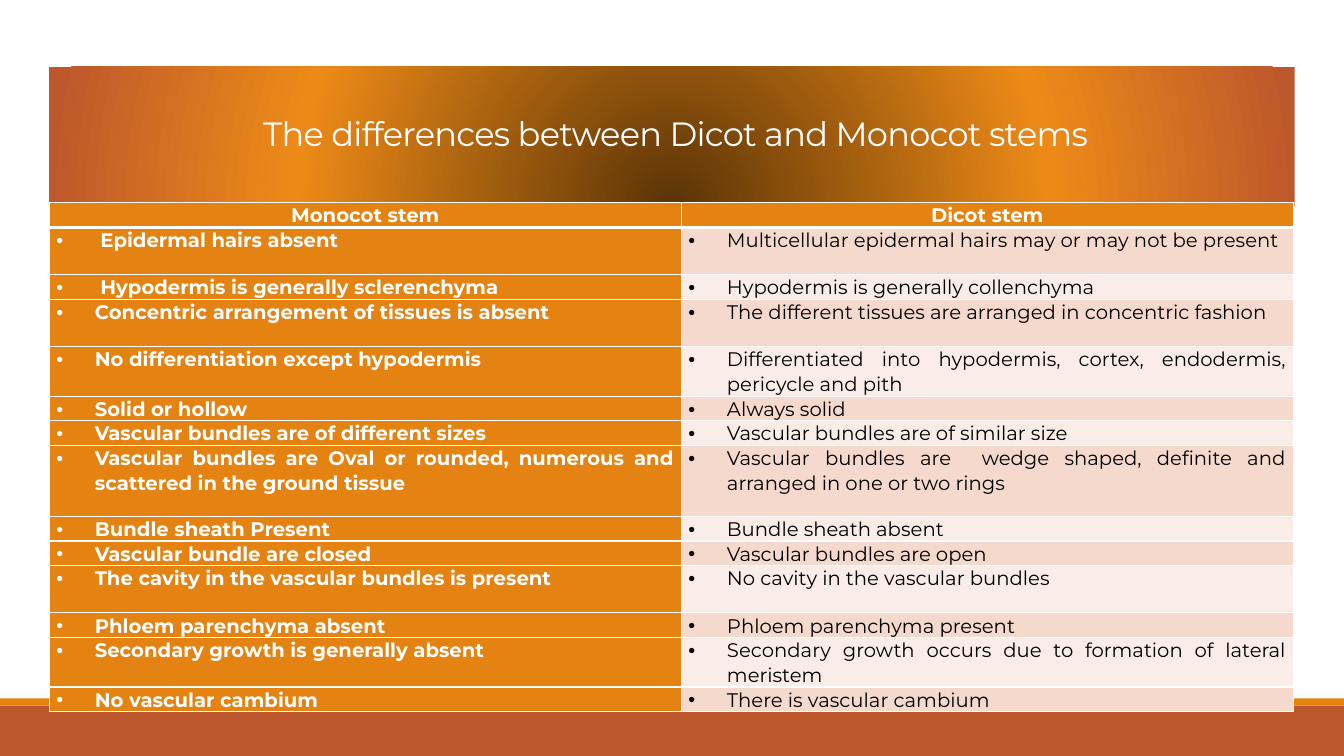
from pptx import Presentation
from pptx.dml.color import RGBColor
from pptx.enum import shapes, text
from pptx.oxml import parse_xml
from pptx.oxml.ns import nsdecls
from pptx.util import Cm, Pt

FONT = "Montserrat"
WHITE = RGBColor(0xFF, 0xFF, 0xFF)
BLACK = RGBColor(0, 0, 0)
ORANGE = RGBColor(0xE4, 0x83, 0x12)
RUST = RGBColor(0xBD, 0x58, 0x2C)
BROWN = RGBColor(0x5B, 0x34, 0x07)
AMBER = RGBColor(0xED, 0x8A, 0x17)
DARK_BAND = RGBColor(0xF5, 0xD9, 0xCC)
LIGHT_BAND = RGBColor(0xFA, 0xED, 0xE7)

COLUMN_WIDTHS = (15.93, 15.42)
ONE_LINE, TWO_LINES, THREE_LINES = 0.58, 1.19, 1.78
HEADINGS = ("Monocot stem", "Dicot stem")
DIFFERENCES = (
    (TWO_LINES, " Epidermal hairs absent",
     "Multicellular epidermal hairs may or may not be present"),
    (ONE_LINE, " Hypodermis is generally sclerenchyma",
     "Hypodermis is generally collenchyma"),
    (TWO_LINES, "Concentric arrangement of tissues is absent",
     "The different tissues are arranged in concentric fashion"),
    (TWO_LINES, "No differentiation except hypodermis",
     "Differentiated into hypodermis, cortex, endodermis, pericycle and pith"),
    (ONE_LINE, "Solid or hollow", "Always solid"),
    (ONE_LINE, "Vascular bundles are of different sizes",
     "Vascular bundles are of similar size"),
    (THREE_LINES, "Vascular bundles are Oval or rounded, numerous and scattered in the ground tissue",
     "Vascular bundles are  wedge shaped, definite and arranged in one or two rings "),
    (ONE_LINE, "Bundle sheath Present", "Bundle sheath absent"),
    (ONE_LINE, "Vascular bundle are closed", "Vascular bundles are open"),
    (TWO_LINES, "The cavity in the vascular bundles is present",
     "No cavity in the vascular bundles"),
    (ONE_LINE, "Phloem parenchyma absent", "Phloem parenchyma present"),
    (TWO_LINES, "Secondary growth is generally absent",
     "Secondary growth occurs due to formation of lateral meristem"),
    (ONE_LINE, "No vascular cambium", "There is vascular cambium"),
)


def add_band(slide, left, top, width, height, color=None):
    """Add a borderless rectangle, filled when a colour is given."""
    shape = slide.shapes.add_shape(
        shapes.MSO_SHAPE.RECTANGLE, Cm(left), Cm(top), Cm(width), Cm(height))
    shape.shadow.inherit = False
    shape.line.fill.background()
    if color is not None:
        shape.fill.solid()
        shape.fill.fore_color.rgb = color
    return shape


def add_glow(shape, stops):
    """Fill a shape with a circular gradient centred on its lower edge."""
    stop_xml = "".join(
        f'<a:gs pos="{position * 1000}"><a:srgbClr val="{color}"/></a:gs>'
        for position, color in stops)
    gradient = parse_xml(
        f'<a:gradFill {nsdecls("a")} rotWithShape="1"><a:gsLst>{stop_xml}</a:gsLst>'
        '<a:path path="circle"><a:fillToRect l="50000" t="130000" r="50000" b="-30000"/>'
        '</a:path></a:gradFill>')
    shape.element.spPr.insert(2, gradient)


def style_paragraph(paragraph, size, color, alignment, spacing, bold=False):
    """Set the font, alignment and line spacing of a paragraph."""
    paragraph.alignment = alignment
    paragraph.line_spacing = spacing
    paragraph.font.name = FONT
    paragraph.font.size = Pt(size)
    paragraph.font.bold = bold
    paragraph.font.color.rgb = color


def add_title(slide, wording):
    """Add the centred slide title."""
    box = slide.shapes.add_textbox(Cm(3.05), Cm(2.29), Cm(27.94), Cm(1.7))
    frame = box.text_frame
    frame.word_wrap = True
    frame.vertical_anchor = text.MSO_ANCHOR.BOTTOM
    paragraph = frame.paragraphs[0]
    run = paragraph.add_run()
    run.text = wording
    run.font._element.set("spc", "-50")
    style_paragraph(paragraph, 24, WHITE, text.PP_ALIGN.CENTER, 0.85)


def add_bullet(paragraph):
    """Give a paragraph a hanging round bullet."""
    properties = paragraph._p.get_or_add_pPr()
    properties.set("marL", str(Cm(0.97)))
    properties.set("indent", str(-Cm(0.97)))
    properties.append(parse_xml(f'<a:buFont {nsdecls("a")} typeface="Arial"/>'))
    properties.append(parse_xml(f'<a:buChar {nsdecls("a")} char="•"/>'))


def add_borders(cell, **widths):
    """Draw white borders on the four sides of a cell."""
    properties = cell._tc.get_or_add_tcPr()
    for side in "LRTB":
        properties.append(parse_xml(
            f'<a:ln{side} {nsdecls("a")} w="{Pt(widths.get(side, 1))}">'
            f'<a:solidFill><a:srgbClr val="{WHITE}"/></a:solidFill></a:ln{side}>'))


def fill_cell(cell, wording, row, column):
    """Write and style one table cell according to its place."""
    heading = row == 0
    strong = heading or column == 0
    add_borders(cell, **({"B": 3} if heading else {"T": 3} if row == 1 else {}))
    cell.fill.solid()
    cell.fill.fore_color.rgb = ORANGE if strong else (LIGHT_BAND, DARK_BAND)[row % 2]
    cell.margin_left = cell.margin_right = Cm(0.18)
    cell.margin_top = cell.margin_bottom = 0
    paragraph = cell.text_frame.paragraphs[0]
    paragraph.add_run().text = wording
    if not heading:
        add_bullet(paragraph)
    alignment = text.PP_ALIGN.CENTER if heading else text.PP_ALIGN.JUSTIFY
    style_paragraph(paragraph, 14, WHITE if strong else BLACK, alignment, 1.05, strong)


def add_comparison(slide):
    """Add the table comparing the two kinds of stem."""
    rows = ((ONE_LINE, *HEADINGS), *DIFFERENCES)
    table = slide.shapes.add_table(
        len(rows), len(COLUMN_WIDTHS), Cm(1.24), Cm(5.11),
        Cm(sum(COLUMN_WIDTHS)), Cm(sum(row[0] for row in rows))).table
    for column, width in zip(table.columns, COLUMN_WIDTHS):
        column.width = Cm(width)
    for row, (height, *wordings) in enumerate(rows):
        table.rows[row].height = Cm(height)
        for column, wording in enumerate(wordings):
            fill_cell(table.cell(row, column), wording, row, column)


def main():
    """Build and save the presentation."""
    presentation = Presentation()
    presentation.slide_width = Cm(33.87)
    presentation.slide_height = Cm(19.05)
    slide = presentation.slides.add_slide(presentation.slide_layouts[6])
    add_band(slide, 0, 17.78, 33.87, 1.27, RUST)
    add_band(slide, 0, 17.6, 33.87, 0.18, ORANGE)
    banner = add_band(slide, 1.24, 1.68, 31.39, 3.51)
    add_glow(banner, ((0, BROWN), (60, AMBER), (100, RUST)))
    add_title(slide, "The differences between Dicot and Monocot stems")
    add_comparison(slide)
    presentation.save("out.pptx")


if __name__ == "__main__":
    main()
